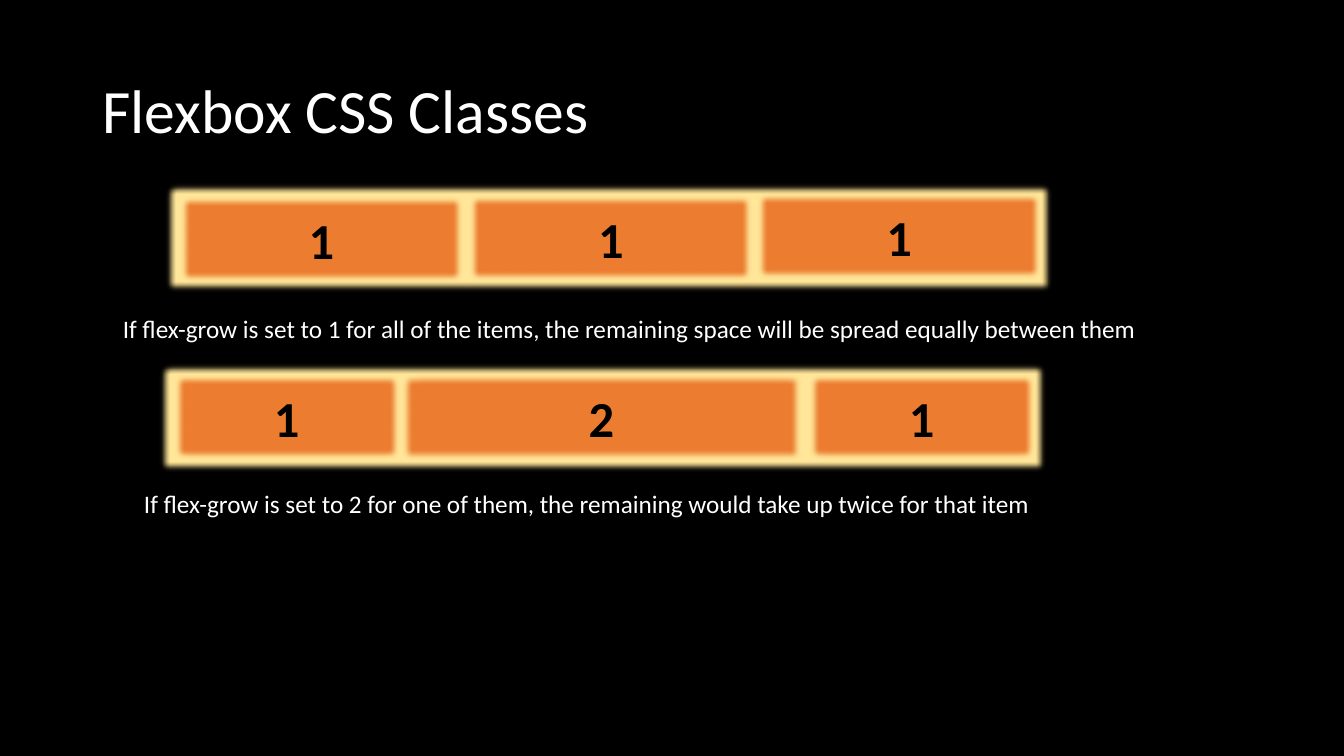
"""Build the flex-grow slide on a grid of 160 columns by 90 rows."""
from dataclasses import dataclass

from lxml import etree
from pptx import Presentation
from pptx import util as u
from pptx.dml.color import RGBColor
from pptx.enum import shapes, text
from pptx.oxml import ns

BLACK = RGBColor(0x00, 0x00, 0x00)
WHITE = RGBColor(0xFF, 0xFF, 0xFF)
CREAM = RGBColor(0xFF, 0xE6, 0x99)
ORANGE = RGBColor(0xED, 0x7D, 0x31)
FONT = "Calibri"
UNIT = u.Inches(1) / 12
SOFT = u.Pt(5)
BAR_W, BAR_H, ITEM_H = 105.72, 13.08, 10.56


@dataclass(frozen=True)
class Box:
    col: float
    row: float
    wide: float
    high: float

    def place(self) -> list[int]:
        return [round(n * UNIT) for n in (self.col, self.row, self.wide, self.high)]


@dataclass(frozen=True)
class Item:
    grow: int
    col: float
    row: float
    wide: float


@dataclass(frozen=True)
class Demo:
    col: float
    row: float
    items: tuple[Item, ...]
    note: str
    area: Box


TITLE = Box(11.04, 4.8, 138, 17.4)
DEMOS = (
    Demo(18.84, 43.2,
         (Item(1, 20.52, 44.4, 27.24), Item(1, 96.12, 44.4, 27.24),
          Item(2, 47.64, 44.4, 47.88)),
         "If flex-grow is set to 2 for one of them, "
         "the remaining would take up twice for that item",
         Box(15.96, 57.6, 113.04, 4.8)),
    Demo(19.56, 21.72,
         (Item(1, 21.24, 23.16, 34.08), Item(1, 55.68, 23.04, 34.08),
          Item(1, 90, 22.8, 34.08)),
         "If flex-grow is set to 1 for all of the items, "
         "the remaining space will be spread equally between them",
         Box(13.44, 36.72, 128.4, 4.8)),
)


def style(para, size: float, color: RGBColor, bold: bool = False) -> None:
    """Set the font of a paragraph."""
    font = para.font
    font.name, font.size, font.bold = FONT, u.Pt(size), bold
    font.color.rgb = color


def block(slide, box: Box, fill: RGBColor):
    """Draw a rectangle with soft edges."""
    rect = slide.shapes.add_shape(shapes.MSO_SHAPE.RECTANGLE, *box.place())
    rect.shadow.inherit = False
    rect.fill.solid()
    rect.fill.fore_color.rgb = fill
    rect.line.color.rgb = WHITE
    rect.line.width = u.Pt(1.5)
    effects = rect._element.spPr.find(ns.qn("a:effectLst"))
    etree.SubElement(effects, ns.qn("a:softEdge"), rad=str(SOFT))
    return rect


def label(rect, grow: int) -> None:
    """Write an outlined number in the middle of a rectangle."""
    frame = rect.text_frame
    frame.vertical_anchor = text.MSO_ANCHOR.MIDDLE
    para = frame.paragraphs[0]
    para.alignment = text.PP_ALIGN.CENTER
    run = para.add_run()
    run.text = str(grow)
    style(para, 36, BLACK, True)
    line = etree.Element(ns.qn("a:ln"), w=str(u.Pt(0.75)))
    paint = etree.SubElement(line, ns.qn("a:solidFill"))
    etree.SubElement(paint, ns.qn("a:srgbClr"), val=str(WHITE))
    run._r.get_or_add_rPr().insert(0, line)


def write(slide, box: Box, words: str, size: float):
    """Add a line of white text and return its frame."""
    frame = slide.shapes.add_textbox(*box.place()).text_frame
    para = frame.paragraphs[0]
    para.text = words
    style(para, size, WHITE)
    return frame


def draw(slide, demo: Demo) -> None:
    """Draw a flex bar, its items and its note."""
    block(slide, Box(demo.col, demo.row, BAR_W, BAR_H), CREAM)
    for item in demo.items:
        rect = block(slide, Box(item.col, item.row, item.wide, ITEM_H), ORANGE)
        label(rect, item.grow)
    frame = write(slide, demo.area, demo.note, 18)
    frame.word_wrap = False
    frame.auto_size = text.MSO_AUTO_SIZE.SHAPE_TO_FIT_TEXT


def main() -> None:
    """Build and save the slide."""
    deck = Presentation()
    deck.slide_width, deck.slide_height = round(160 * UNIT), round(90 * UNIT)
    slide = deck.slides.add_slide(deck.slide_layouts[6])
    back = slide.background.fill
    back.solid()
    back.fore_color.rgb = BLACK
    head = write(slide, TITLE, "Flexbox CSS Classes", 44)
    head.word_wrap = True
    head.vertical_anchor = text.MSO_ANCHOR.MIDDLE
    head.paragraphs[0].line_spacing = 0.9
    for demo in DEMOS:
        draw(slide, demo)
    deck.save("out.pptx")


if __name__ == "__main__":
    main()
